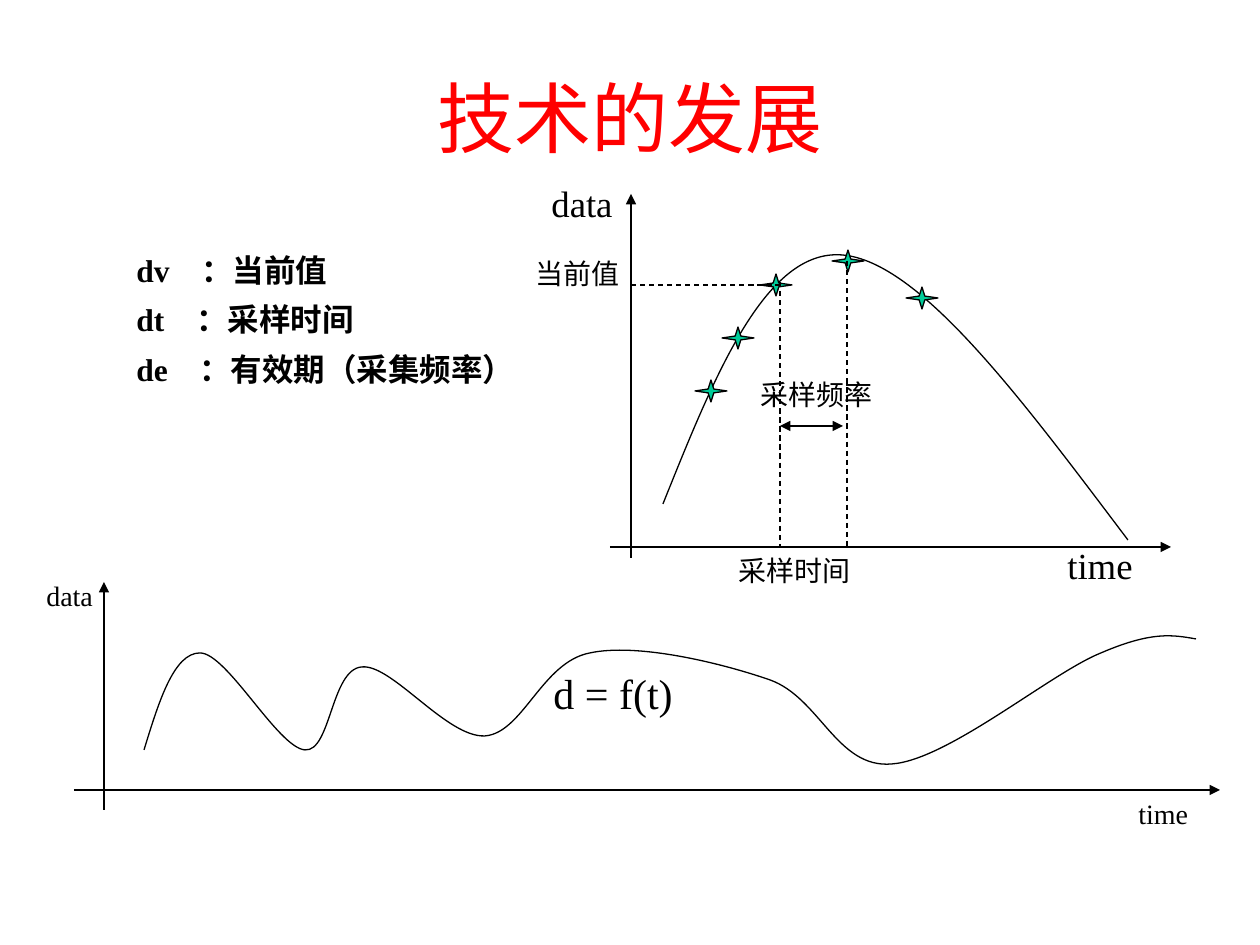
"""Build a slide on sampling a data curve over time."""
import pptx
import pptx.dml.color
import pptx.enum.dml
import pptx.enum.shapes
import pptx.enum.text
import pptx.oxml.ns
import pptx.util
from lxml import etree

BLACK = pptx.dml.color.RGBColor(0x00, 0x00, 0x00)
RED = pptx.dml.color.RGBColor(0xFF, 0x00, 0x00)
GREEN = pptx.dml.color.RGBColor(0x00, 0xCC, 0x99)
FONT = "Times New Roman"
ALIGN = pptx.enum.text.PP_ALIGN
PX = 914400 / 126
qn = pptx.oxml.ns.qn


def emu(*lengths):
    return [pptx.util.Emu(round(length * PX)) for length in lengths]


def style_text(frame, text, size, color=BLACK, bold=False, align=ALIGN.LEFT):
    frame.word_wrap = True
    frame.text = text
    paragraph = frame.paragraphs[0]
    paragraph.alignment = align
    font = paragraph.runs[0].font
    font.name, font.size, font.bold = FONT, pptx.util.Pt(size), bold
    font.color.rgb = color


deck = pptx.Presentation()
deck.slide_width, deck.slide_height = emu(1260, 945)
slide = deck.slides.add_slide(deck.slide_layouts[5])
shapes = slide.shapes

title = shapes.title
title.left, title.top, title.width, title.height = emu(63, 38, 1134, 158)
title.text_frame.vertical_anchor = pptx.enum.text.MSO_ANCHOR.MIDDLE
style_text(title.text_frame, "技术的发展", 44, RED, align=ALIGN.CENTER)

definitions = [
    ("dv\t：当前值", 245, 358, 65),
    ("dt\t：采样时间", 294, 417, 60),
    ("de\t：有效期（采集频率）", 344, 407, 63),
]
for definition, top, width, tab_position in definitions:
    entry = shapes.add_textbox(*emu(124, top, width, 50))
    style_text(entry.text_frame, definition, 18, bold=True)
    properties = entry.text_frame.paragraphs[0]._p.get_or_add_pPr()
    tab_stops = etree.SubElement(properties, qn("a:tabLst"))
    etree.SubElement(tab_stops, qn("a:tab"), pos=str(emu(tab_position)[0]), algn="l")

signal_curve = [
    (144, 750), (159, 701), (174, 653), (200, 653), (227, 653), (278, 748),
    (305, 750), (331, 752), (331, 669), (362, 667), (392, 664), (447, 738),
    (485, 736), (523, 733), (542, 662), (590, 653), (636, 643), (718, 662),
    (770, 680), (820, 698), (837, 769), (892, 764), (948, 760), (1051, 673),
    (1101, 653), (1152, 631), (1173, 635), (1196, 639),
]
sampled_curve = [
    (663, 504), (714, 377), (765, 249), (842, 255),
    (920, 261), (1023, 401), (1128, 540),
]
for controls in (signal_curve, sampled_curve):
    outline = shapes.build_freeform(*emu(*controls[0]))
    outline.add_line_segments([emu(*point) for point in controls[1:]], close=False)
    curve = outline.convert_to_shape()
    segments = list(curve._element.iter(qn("a:lnTo")))
    for first in range(0, len(segments), 3):
        bezier = etree.Element(qn("a:cubicBezTo"))
        segments[first].addprevious(bezier)
        for segment in segments[first:first + 3]:
            bezier.append(segment[0])
            segment.getparent().remove(segment)
    curve.shadow.inherit = False
    curve.fill.background()
    curve.line.color.rgb = BLACK
    curve.line.width = pptx.util.Pt(0.75)

for left, top in [(760, 274), (722, 327), (695, 380), (832, 250), (906, 287)]:
    sample = shapes.add_shape(
        pptx.enum.shapes.MSO_SHAPE.STAR_4_POINT, *emu(left, top, 32, 22))
    sample.shadow.inherit = False
    sample.fill.solid()
    sample.fill.fore_color.rgb = GREEN
    sample.line.color.rgb = BLACK
    sample.line.width = pptx.util.Pt(0.75)

axis, guide, span = ("tailEnd",), (), ("headEnd", "tailEnd")
rules = [
    ((74, 790, 1220, 790), axis),
    ((104, 810, 104, 582), axis),
    ((610, 547, 1171, 547), axis),
    ((631, 558, 631, 194), axis),
    ((780, 282, 780, 547), guide),
    ((847, 261, 847, 547), guide),
    ((631, 285, 780, 285), guide),
    ((780, 426, 843, 426), span),
]
for ends, arrowheads in rules:
    rule = shapes.add_connector(
        pptx.enum.shapes.MSO_CONNECTOR.STRAIGHT, *emu(*ends))
    rule.line.color.rgb = BLACK
    rule.line.width = pptx.util.Pt(0.75)
    if not arrowheads:
        rule.line.dash_style = pptx.enum.dml.MSO_LINE.DASH
    for arrowhead in arrowheads:
        etree.SubElement(rule.line._get_or_add_ln(), qn(f"a:{arrowhead}"), type="triangle")
    etree.SubElement(rule._element.spPr, qn("a:effectLst"))

labels = [
    ("d = f(t)", (541, 661, 189, 63), 24, ALIGN.LEFT),
    ("data", (34, 572, 118, 47), 16, ALIGN.LEFT),
    ("time", (1126, 790, 118, 47), 16, ALIGN.LEFT),
    ("data", (539, 175, 108, 57), 21, ALIGN.LEFT),
    ("time", (1055, 537, 105, 57), 21, ALIGN.LEFT),
    ("当前值", (452, 250, 180, 47), 16, ALIGN.RIGHT),
    ("采样时间", (726, 547, 180, 47), 16, ALIGN.LEFT),
    ("采样频率", (748, 371, 180, 47), 16, ALIGN.LEFT),
]
for text, box, size, align in labels:
    label = shapes.add_textbox(*emu(*box))
    style_text(label.text_frame, text, size, align=align)

deck.save("out.pptx")
